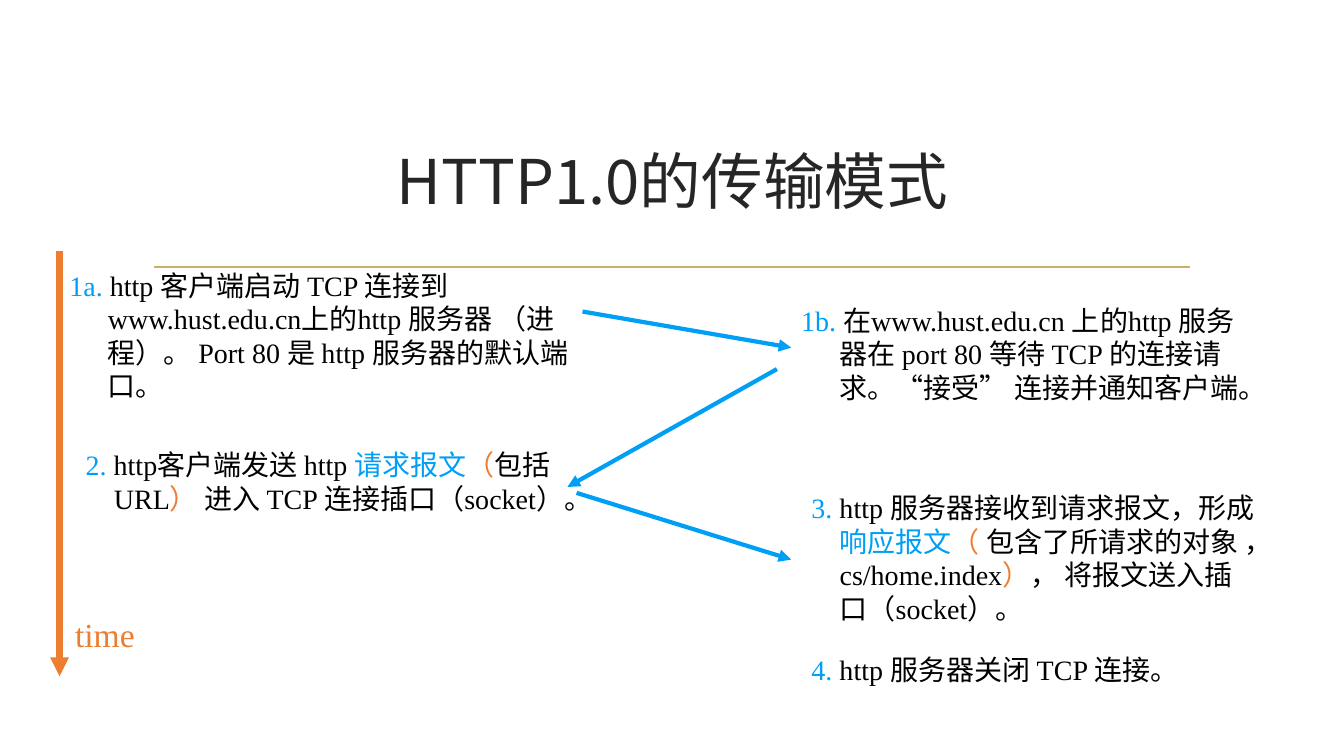
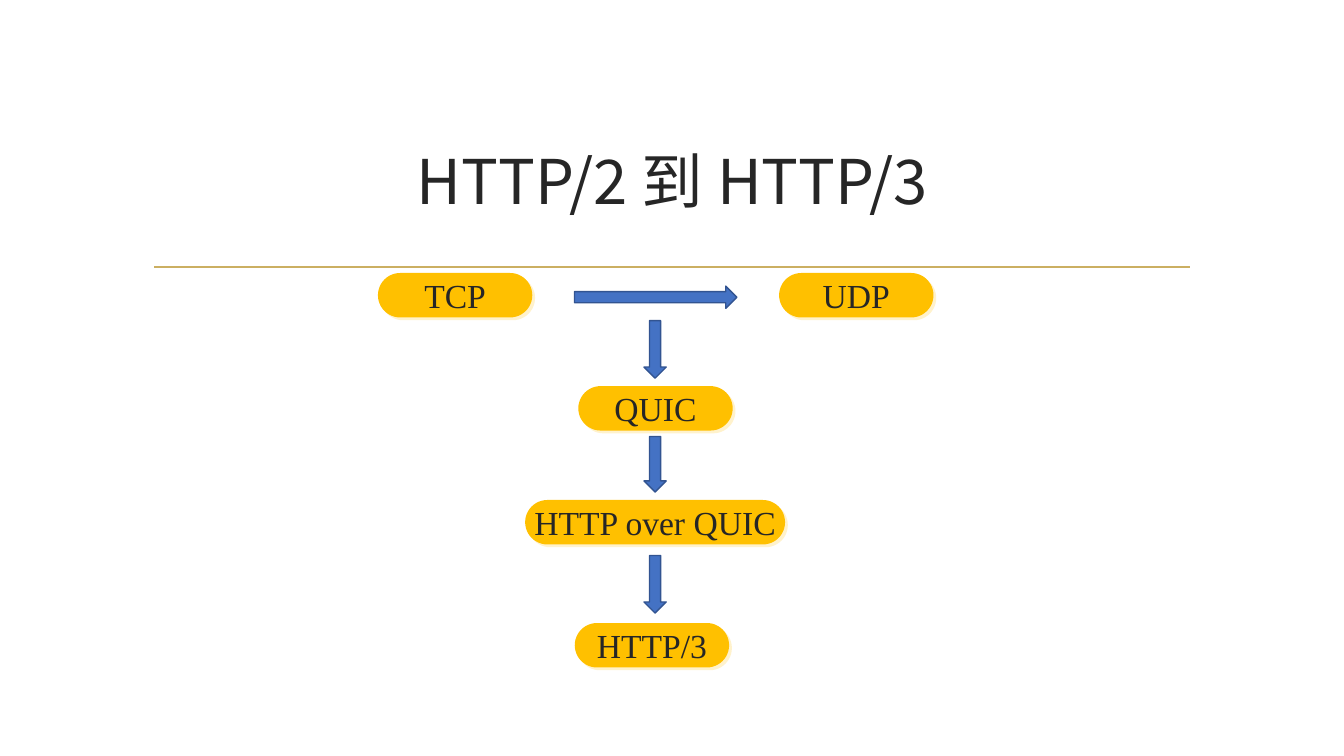
from lxml import etree
from pptx import Presentation
from pptx import util as u
from pptx.dml.color import RGBColor
from pptx.enum import shapes, text
from pptx.oxml import parse_xml
from pptx.oxml.ns import nsdecls, qn

COLORS = {
    "title": "262626", "body": "000000", "blue": "009FF6", "orange": "ED7D31",
    "rule": "CBAF62", "pill": "FFC000", "glow": "FFF2CC",
    "arrow": "4472C4", "edge": "325491",
}
SANS = "Noto Sans CJK SC"
SERIF = "Times New Roman"


def write(para, content, color="body", size=20, font=SERIF):
    span = para.add_run()
    span.text = content
    span.font.size = u.Pt(size)
    span.font.name = font
    span.font.color.rgb = RGBColor.from_string(COLORS[color])
    latin = span.font._element.find(qn("a:latin"))
    latin.addnext(parse_xml(f'<a:ea {nsdecls("a")} typeface="{SANS}"/>'))


def draw_line(page, ends, color, width, arrow=True):
    line = page.shapes.add_connector(
        shapes.MSO_CONNECTOR.STRAIGHT, *[u.Cm(value) for value in ends])
    line.line.color.rgb = RGBColor.from_string(COLORS[color])
    line.line.width = u.Pt(width)
    if arrow:
        etree.SubElement(line.line._get_or_add_ln(), qn("a:tailEnd"), type="triangle")
    etree.SubElement(line.element.spPr, qn("a:effectLst"))
    return line


deck = Presentation()
deck.slide_width = u.Cm(33.87)
deck.slide_height = u.Cm(19.05)
layout = deck.slide_layouts[5]
heading = layout.placeholders[0]
heading.left, heading.top = u.Cm(3.61), u.Cm(2.72)
heading.width, heading.height = u.Cm(26.67), u.Cm(3.63)
heading.text_frame.vertical_anchor = text.MSO_ANCHOR.MIDDLE

pages = []
for title in ["HTTP1.0的传输模式", "HTTP/2 到 HTTP/3"]:
    page = deck.slides.add_slide(layout)
    para = page.shapes.title.text_frame.paragraphs[0]
    para.alignment = text.PP_ALIGN.CENTER
    write(para, title, color="title", size=44, font=SANS)
    pages.append(page)
exchange, evolution = pages

rule = draw_line(exchange, (3.89, 6.73, 30, 6.73), "rule", 1.25, arrow=False)
layout.shapes.element.append(rule.element)

draw_line(exchange, (1.5, 6.32, 1.5, 17.04), "orange", 4.5)
for ends in [
    (14.68, 7.85, 19.94, 8.76),
    (19.58, 9.3, 14.3, 12.27),
    (14.53, 12.42, 19.94, 14.1),
]:
    draw_line(exchange, ends, "blue", 3)

steps = [
    ((1.5, 6.63, 13.72, 3.96), 0.97, [
        ("1a. ", "blue"),
        ("http 客户端启动 TCP 连接到www.hust.edu.cn上的http 服务器 （进程）。 "
         "Port 80 是 http 服务器的默认端口。", "body")]),
    ((1.65, 11.15, 13.59, 3), 0.71, [
        ("2. ", "blue"), ("http客户端发送 http ", "body"), ("请求报文", "blue"),
        ("（", "orange"), ("包括URL", "body"), ("） ", "orange"),
        ("进入 TCP 连接插口（socket）。", "body")]),
    ((19.94, 7.52, 11.68, 2.97), 0.97, [
        ("1b. ", "blue"),
        ("在www.hust.edu.cn 上的http 服务器在 port 80 等待 TCP 的连接请求。"
         "“接受” 连接并通知客户端。", "body")]),
    ((19.94, 12.24, 12.07, 4.67), 0.71, [
        ("3. ", "blue"), ("http 服务器接收到请求报文，形成 ", "body"),
        ("响应报文", "blue"), ("（ ", "orange"),
        ("包含了所请求的对象 ，cs/home.index", "body"), ("）", "orange"),
        ("， 将报文送入插口（socket）。", "body")]),
    ((19.94, 16.33, 9.96, 1.27), 0.71, [
        ("4. ", "blue"), ("http 服务器关闭 TCP 连接。", "body")]),
]
for place, hanging, spans in steps:
    box = exchange.shapes.add_textbox(*[u.Cm(value) for value in place])
    box.text_frame.word_wrap = True
    para = box.text_frame.paragraphs[0]
    para.line_spacing = u.Pt(24)
    properties = para._p.get_or_add_pPr()
    properties.set("marL", str(u.Cm(0.97)))
    properties.set("indent", str(-u.Cm(hanging)))
    for content, color in spans:
        write(para, content, color=color)

box = exchange.shapes.add_textbox(u.Cm(1.63), u.Cm(15.34), u.Cm(2.03), u.Cm(1.27))
box.text_frame.word_wrap = False
box.text_frame.auto_size = text.MSO_AUTO_SIZE.SHAPE_TO_FIT_TEXT
para = box.text_frame.paragraphs[0]
para.alignment = text.PP_ALIGN.CENTER
write(para, "time", color="orange", size=24)

for label, center, top, width in [
    ("TCP", 11.47, 6.88, 3.89),
    ("UDP", 21.58, 6.88, 3.89),
    ("QUIC", 16.52, 9.73, 3.89),
    ("HTTP over QUIC", 16.51, 12.6, 6.55),
    ("HTTP/3", 16.43, 15.7, 3.89),
]:
    pill = evolution.shapes.add_shape(
        shapes.MSO_SHAPE.ROUNDED_RECTANGLE,
        u.Cm(center - width / 2), u.Cm(top), u.Cm(width), u.Cm(1.12))
    pill.adjustments[0] = 0.5
    pill.fill.solid()
    pill.fill.fore_color.rgb = RGBColor.from_string(COLORS["pill"])
    pill.line.fill.background()
    pill.element.spPr.append(parse_xml(
        f'<a:effectLst {nsdecls("a")}><a:outerShdw dist="{u.Pt(2.8)}" dir="2700000" '
        f'algn="ctr" rotWithShape="0"><a:srgbClr val="{COLORS["glow"]}"/>'
        '</a:outerShdw></a:effectLst>'))
    pill.text_frame.word_wrap = False
    pill.text_frame.vertical_anchor = text.MSO_ANCHOR.MIDDLE
    para = pill.text_frame.paragraphs[0]
    para.alignment = text.PP_ALIGN.CENTER
    write(para, label, color="title", size=24)

for kind, place in [
    (shapes.MSO_SHAPE.RIGHT_ARROW, (14.48, 7.21, 4.09, 0.56)),
    (shapes.MSO_SHAPE.DOWN_ARROW, (16.23, 8.08, 0.56, 1.45)),
    (shapes.MSO_SHAPE.DOWN_ARROW, (16.23, 11, 0.56, 1.4)),
    (shapes.MSO_SHAPE.DOWN_ARROW, (16.23, 14, 0.56, 1.45)),
]:
    arrow = evolution.shapes.add_shape(kind, *[u.Cm(value) for value in place])
    arrow.shadow.inherit = False
    arrow.fill.solid()
    arrow.fill.fore_color.rgb = RGBColor.from_string(COLORS["arrow"])
    arrow.line.color.rgb = RGBColor.from_string(COLORS["edge"])
    arrow.line.width = u.Pt(1)

deck.save("out.pptx")
